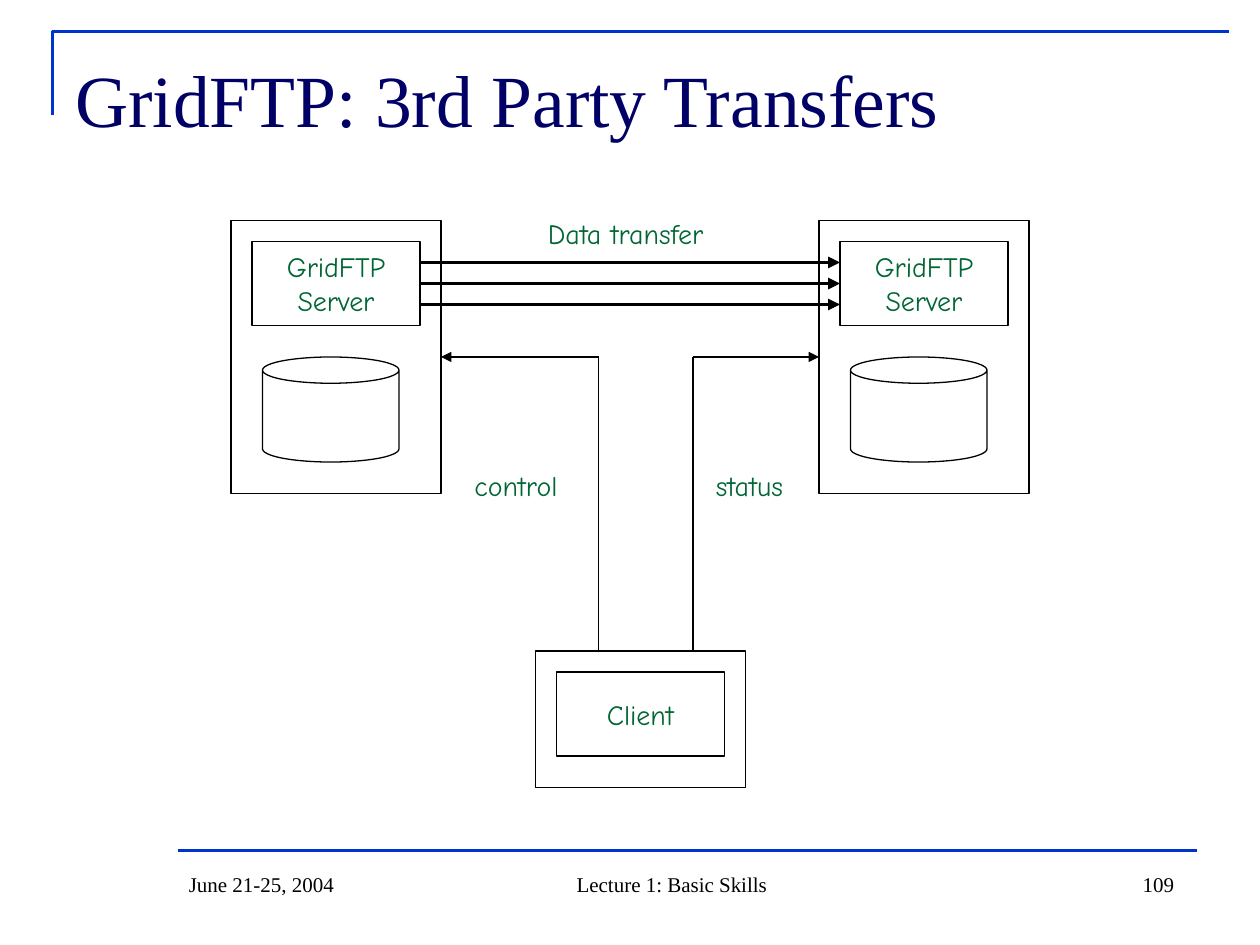
from lxml import etree
from pptx import Presentation, util as u
from pptx.dml.color import RGBColor
from pptx.enum import shapes, text
from pptx.oxml.ns import qn

BLUE = RGBColor(0x00, 0x33, 0xCC)
NAVY = RGBColor(0x00, 0x00, 0x66)
GREEN = RGBColor(0x00, 0x66, 0x33)
BLACK = RGBColor(0x00, 0x00, 0x00)
WHITE = RGBColor(0xFF, 0xFF, 0xFF)
SERIF, HAND = "Times New Roman", "Comic Neue"
LEFT, CENTER, RIGHT = text.PP_ALIGN.LEFT, text.PP_ALIGN.CENTER, text.PP_ALIGN.RIGHT
TOP, MIDDLE, BOTTOM = text.MSO_ANCHOR.TOP, text.MSO_ANCHOR.MIDDLE, text.MSO_ANCHOR.BOTTOM
RECTANGLE, CAN = shapes.MSO_SHAPE.RECTANGLE, shapes.MSO_SHAPE.CAN

presentation = Presentation()
presentation.slide_width, presentation.slide_height = u.Inches(10), u.Inches(7.5)
slide = presentation.slides.add_slide(presentation.slide_layouts[6])

# Grid of 120 columns and 90 rows
UNIT = presentation.slide_width // 120


def add_box(kind, column, row, columns, rows, words="", fill=WHITE, font=HAND, size=16,
            color=GREEN, align=CENTER, anchor=MIDDLE):
    """Add a preset shape, or a text box when kind is None."""
    place = [round(n * UNIT) for n in (column, row, columns, rows)]
    if kind is None:
        shape = slide.shapes.add_textbox(*place)
    else:
        shape = slide.shapes.add_shape(kind, *place)
        shape.shadow.inherit = False
        shape.line.color.rgb = BLACK
        shape.line.width = u.Pt(0.75)
        if fill is None:
            shape.fill.background()
        else:
            shape.fill.solid()
            shape.fill.fore_color.rgb = fill
    if words:
        frame = shape.text_frame
        frame.text = words
        frame.word_wrap = True
        frame.vertical_anchor = anchor
        paragraph = frame.paragraphs[0]
        paragraph.alignment = align
        for run in paragraph.runs:
            run.font.name, run.font.size = font, u.Pt(size)
            run.font.color.rgb = color
    return shape


def add_line(start, end, width=0.75, color=BLACK, arrow=False):
    """Add a straight line between two (column, row) points."""
    points = [round(n * UNIT) for n in (*start, *end)]
    line = slide.shapes.add_connector(shapes.MSO_CONNECTOR.STRAIGHT, *points)
    line.line.color.rgb = color
    line.line.width = u.Pt(width)
    if arrow:
        etree.SubElement(line.line._get_or_add_ln(), qn("a:tailEnd"), type="triangle")
    etree.SubElement(line._element.spPr, qn("a:effectLst"))
    return line


# Corner frame and footer rule
builder = slide.shapes.build_freeform(5, 11, scale=UNIT)
builder.add_line_segments([(5, 3), (117, 3)], close=False)
corner = builder.convert_to_shape()
corner.shadow.inherit = False
corner.fill.background()
corner.line.color.rgb = BLUE
corner.line.width = u.Pt(1.5)
add_line((17, 81), (114, 81), 1.5, BLUE)

# Title
add_box(None, 6, 3.6, 103, 11.4, "GridFTP: 3rd Party Transfers",
        font=SERIF, size=42, color=NAVY, align=LEFT)

# Two hosts, each with a server and a disk
hosts, servers = [], []
for column in (22, 78):
    hosts.append(add_box(RECTANGLE, column, 21, 20, 26, fill=None))
    servers.append(add_box(RECTANGLE, column + 2, 23, 16, 8, "GridFTP Server"))
    add_box(CAN, column + 3, 34, 13, 10)

# Client
add_box(RECTANGLE, 51, 62, 20, 13, fill=None)
add_box(RECTANGLE, 53, 64, 16, 8, "Client")

# Parallel data streams; the middle one joins the servers
for row in (25, 27, 29):
    stream = add_line((40, row), (80, row), 2.25, arrow=True)
    if row == 27:
        stream.begin_connect(servers[0], 3)
        stream.end_connect(servers[1], 1)

# Control and status channels from the client to the hosts
for column, edge, host, site in ((57, 42, hosts[0], 3), (66, 78, hosts[1], 1)):
    add_line((column, 62), (column, 34))
    channel = add_line((column, 34), (edge, 34), arrow=True)
    channel.end_connect(host, site)

# Channel labels
for words, column, row in (("Data transfer", 51, 20), ("control", 44, 44), ("status", 67, 44)):
    add_box(None, column, row, 25, 4.4, words, align=LEFT, anchor=TOP)

# Footer
for words, column, columns, align in (("June 21-25, 2004", 16.8, 27.2, LEFT),
                                      ("Lecture 1: Basic Skills", 45, 38, CENTER),
                                      ("109", 85, 28, RIGHT)):
    add_box(None, column, 82, columns, 4, words, font=SERIF, size=12, color=BLACK,
            align=align, anchor=BOTTOM)

presentation.save("out.pptx")
